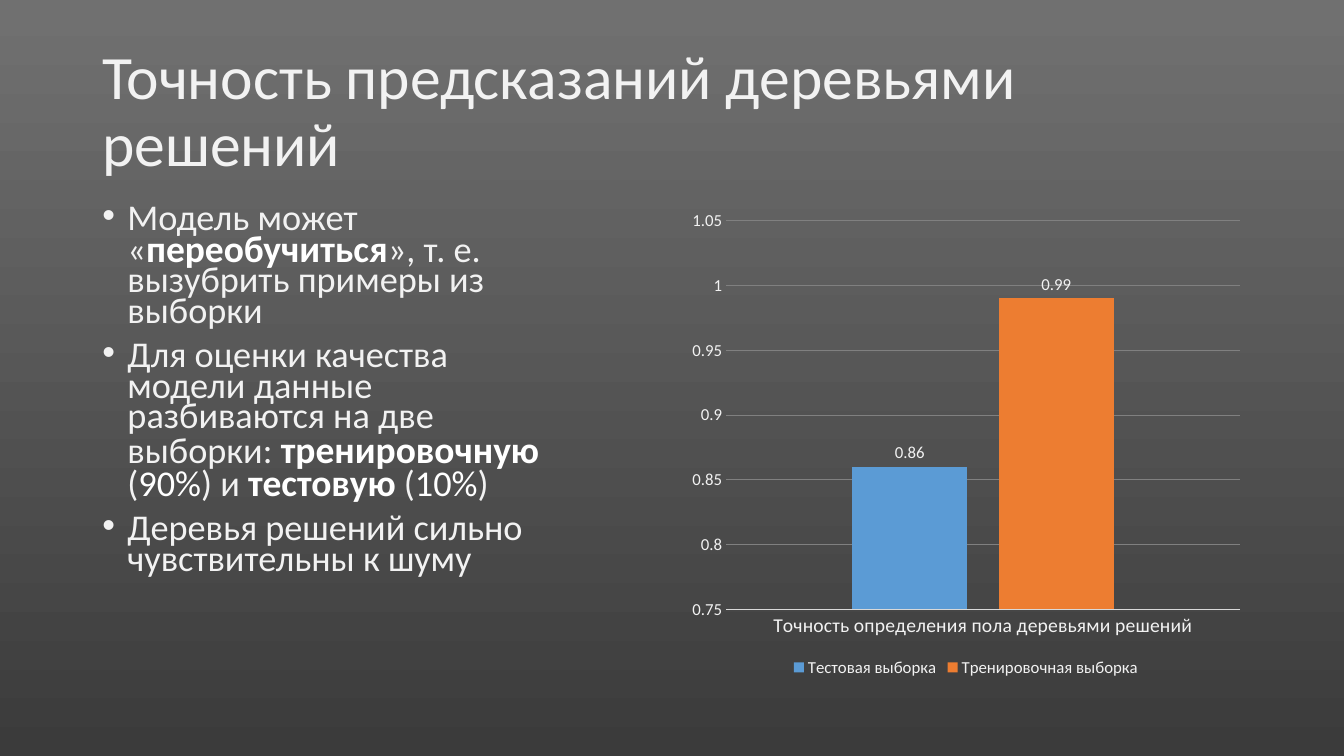
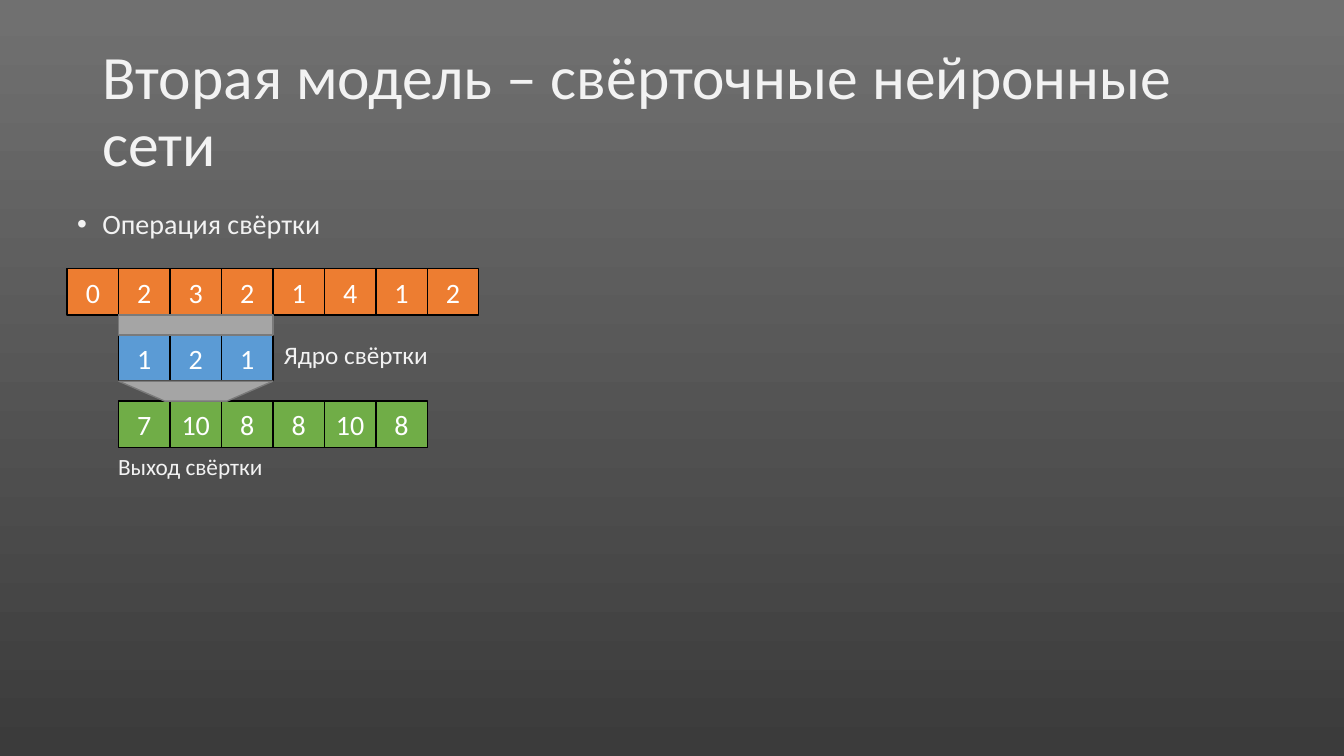
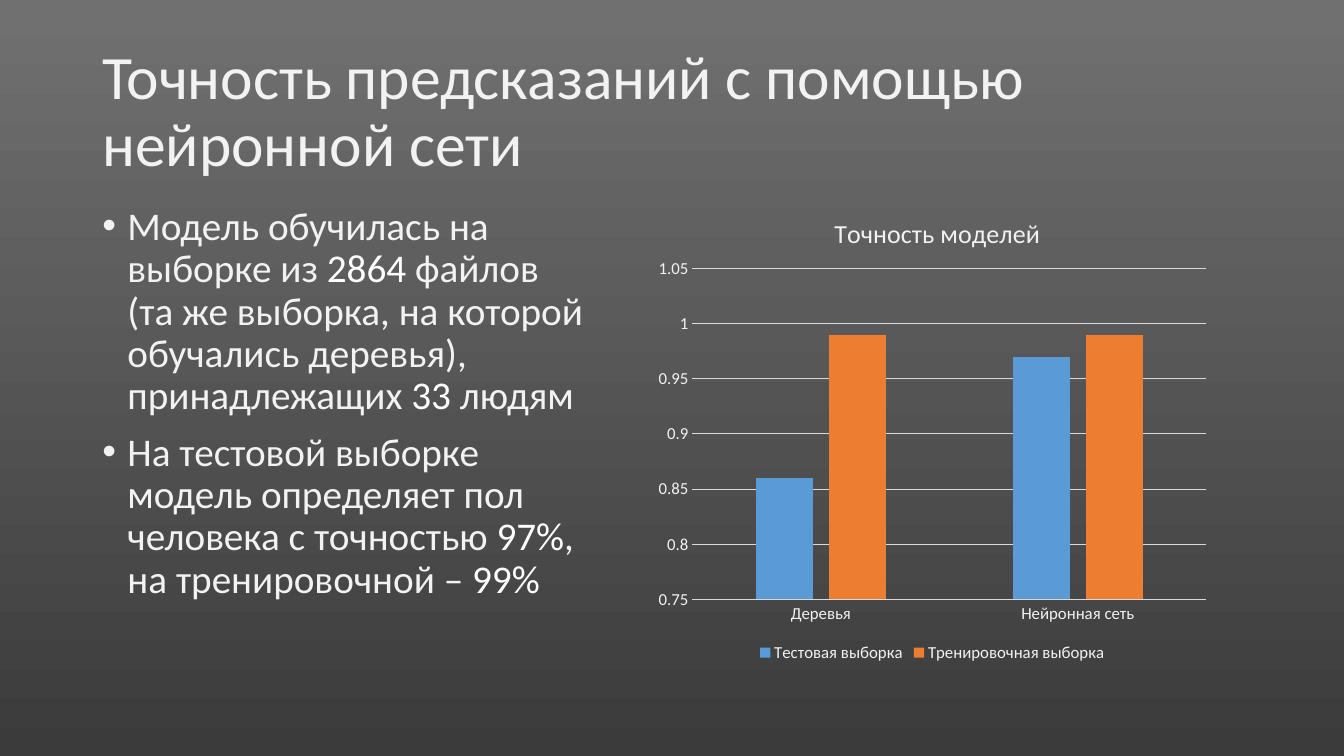
import dataclasses

import lxml.etree
import pptx
import pptx.chart.data
import pptx.dml.color
import pptx.enum.chart
import pptx.enum.shapes
import pptx.enum.text
import pptx.oxml.ns
import pptx.util

PX = 9525  # EMU per px, 96 px to the inch


@dataclasses.dataclass(frozen=True)
class Theme:
    font: str = "Calibri"
    # Colours
    backdrop_top: str = "707070"
    backdrop_bottom: str = "3B3B3B"
    text: str = "F2F2F2"
    bright: str = "FFFFFF"
    blue: str = "5B9BD5"
    orange: str = "ED7D31"
    green: str = "70AD47"
    grey: str = "A5A5A5"
    grey_edge: str = "7A7A7A"
    cell_edge: str = "000000"
    axis: str = "D9D9D9"
    soft_grid: str = "808080"
    # Type sizes in points
    title: float = 44
    body: float = 28
    tight_body: float = 25.9
    tight_bold: float = 26.8
    wide_space: float = 30.5
    diagram: float = 20
    kernel_label: float = 18
    output_label: float = 16.6
    chart_title: float = 18.6
    chart_category: float = 14
    chart_text: float = 12


THEME = Theme()
SAMPLES = ("Тестовая выборка", "Тренировочная выборка")


# ---- Basics ----
def px(*lengths):
    return [pptx.util.Emu(length * PX) for length in lengths]


def rgb(colour):
    return pptx.dml.color.RGBColor.from_string(colour)


def style_font(font, size, colour=THEME.text, bold=False):
    font.name = THEME.font
    font.size = pptx.util.Pt(size)
    font.bold = bold
    font.color.rgb = rgb(colour)


def style_line(line, colour, width):
    line.color.rgb = rgb(colour)
    line.width = pptx.util.Pt(width)


def paint_backdrop(master):
    fill = master.background.fill
    fill.gradient()
    fill.gradient_angle = 270
    stops = ((0.01, THEME.backdrop_top), (1, THEME.backdrop_bottom))
    for stop, (position, colour) in zip(fill.gradient_stops, stops):
        stop.position = position
        stop.color.rgb = rgb(colour)


# ---- Text ----
def plain(text, size=THEME.body):
    return text, size, THEME.text, False


def bright(text, size=THEME.body):
    return text, size, THEME.bright, False


def strong(text):
    return text, THEME.tight_bold, THEME.bright, True


def add_bullet(paragraph):
    properties = paragraph._p.get_or_add_pPr()
    properties.set("marL", str(24 * PX))
    properties.set("indent", str(-24 * PX))
    bullet_font = lxml.etree.SubElement(properties, pptx.oxml.ns.qn("a:buFont"))
    bullet_font.set("typeface", "Arial")
    bullet = lxml.etree.SubElement(properties, pptx.oxml.ns.qn("a:buChar"))
    bullet.set("char", "•")


def add_text(shapes, box, paragraphs, spacing=0.9, before=10, bullets=False):
    frame = shapes.add_textbox(*px(*box)).text_frame
    frame.word_wrap = True
    for index, pieces in enumerate(paragraphs):
        paragraph = frame.add_paragraph() if index else frame.paragraphs[0]
        paragraph.line_spacing = spacing
        paragraph.space_before = pptx.util.Pt(before)
        if bullets:
            add_bullet(paragraph)
        for text, size, colour, bold in pieces:
            run = paragraph.add_run()
            run.text = text
            style_font(run.font, size, colour, bold)
    return frame


def add_titled_slide(deck, title):
    slide = deck.slides.add_slide(deck.slide_layouts[6])
    frame = add_text(slide.shapes, (88, 38, 1104, 139),
                     [[plain(title, THEME.title)]], before=0)
    frame.vertical_anchor = pptx.enum.text.MSO_ANCHOR.MIDDLE
    return slide


# ---- Charts ----
def set_layout(parent, index, target=None, **fractions):
    """Place a chart part by fractions of the chart's size."""
    qn = pptx.oxml.ns.qn
    for old in parent.findall(qn("c:layout")):
        parent.remove(old)
    layout = lxml.etree.Element(qn("c:layout"))
    manual = lxml.etree.SubElement(layout, qn("c:manualLayout"))
    settings = {"layoutTarget": target} if target else {}
    settings.update(xMode="edge", yMode="edge", **fractions)
    for tag, value in settings.items():
        lxml.etree.SubElement(manual, qn("c:" + tag)).set("val", str(value))
    parent.insert(index, layout)


def style_axes(chart, category_size, grid):
    categories, values = chart.category_axis, chart.value_axis
    for axis, size in ((categories, category_size), (values, THEME.chart_text)):
        axis.major_tick_mark = pptx.enum.chart.XL_TICK_MARK.NONE
        axis.minor_tick_mark = pptx.enum.chart.XL_TICK_MARK.NONE
        style_font(axis.tick_labels.font, size)
    style_line(categories.format.line, THEME.axis, 0.75)
    values.format.line.fill.background()
    values.minimum_scale, values.maximum_scale = 0.75, 1.05
    values.major_unit = 0.05
    values.has_major_gridlines = True
    style_line(values.major_gridlines.format.line, grid, 0.75)


def add_accuracy_chart(slide, box, categories, accuracies, plot_top, plot_height,
                       grid, category_size=THEME.chart_text, title=None, labels=False):
    data = pptx.chart.data.CategoryChartData()
    data.categories = categories
    for sample, values in zip(SAMPLES, accuracies):
        data.add_series(sample, values)
    chart = slide.shapes.add_chart(
        pptx.enum.chart.XL_CHART_TYPE.COLUMN_CLUSTERED, *px(*box), data).chart
    style_font(chart.font, 10)
    style_axes(chart, category_size, grid)

    # Columns
    columns = chart.plots[0]
    columns.vary_by_categories = False
    columns.gap_width, columns.overlap = 219, -27
    for series, colour in zip(columns.series, (THEME.blue, THEME.orange)):
        series.format.fill.solid()
        series.format.fill.fore_color.rgb = rgb(colour)
        if labels:
            series.data_labels.show_value = True
            series.data_labels.position = pptx.enum.chart.XL_LABEL_POSITION.OUTSIDE_END
            style_font(series.data_labels.font, THEME.chart_text)

    # Legend, title and plot area
    chart.has_legend = True
    chart.legend.position = pptx.enum.chart.XL_LEGEND_POSITION.BOTTOM
    chart.legend.include_in_layout = False
    style_font(chart.legend.font, THEME.chart_text)
    chart.has_title = title is not None
    if title:
        heading = chart.chart_title.text_frame.paragraphs[0]
        heading.text = title
        style_font(heading.runs[0].font, THEME.chart_title)
        set_layout(chart.chart_title.element, 1, x=0.32, y=0.05)
    plot_area = chart.element.find(".//" + pptx.oxml.ns.qn("c:plotArea"))
    set_layout(plot_area, 0, "inner", x=0.08, y=plot_top, w=0.9, h=plot_height)


# ---- Convolution diagram ----
CELL_WIDTH, CELL_HEIGHT, ROW_PITCH = 49, 44, 63
DIAGRAM_LEFT, DIAGRAM_TOP = 64, 256


def add_block(shapes, kind, box, fill, edge):
    block = shapes.add_shape(kind, *px(*box))
    block.shadow.inherit = False
    block.fill.solid()
    block.fill.fore_color.rgb = rgb(fill)
    style_line(block.line, edge, 1)
    return block


def add_cells(shapes, row, first_column, numbers, colour):
    top = DIAGRAM_TOP + row * ROW_PITCH
    for column, number in enumerate(numbers, first_column):
        box = (DIAGRAM_LEFT + column * CELL_WIDTH, top, CELL_WIDTH, CELL_HEIGHT)
        cell = add_block(shapes, pptx.enum.shapes.MSO_SHAPE.RECTANGLE, box,
                         colour, THEME.cell_edge)
        cell.text_frame.text = str(number)
        cell.text_frame.vertical_anchor = pptx.enum.text.MSO_ANCHOR.MIDDLE
        paragraph = cell.text_frame.paragraphs[0]
        paragraph.alignment = pptx.enum.text.PP_ALIGN.CENTER
        style_font(paragraph.runs[0].font, THEME.diagram, THEME.bright)


def add_funnel(shapes, row, narrowing):
    """Fill the gap below a row, over the three cells of the kernel."""
    box = (DIAGRAM_LEFT + CELL_WIDTH, DIAGRAM_TOP + row * ROW_PITCH + CELL_HEIGHT,
           3 * CELL_WIDTH, ROW_PITCH - CELL_HEIGHT)
    funnel = add_block(shapes, pptx.enum.shapes.MSO_SHAPE.TRAPEZOID, box,
                       THEME.grey, THEME.grey_edge)
    funnel.rotation = 180
    funnel.adjustments[0] = narrowing


def add_convolution(slide):
    shapes = slide.shapes.add_group_shape().shapes
    add_cells(shapes, 0, 0, (0, 2, 3, 2, 1, 4, 1, 2), THEME.orange)
    add_cells(shapes, 1, 1, (1, 2, 1), THEME.blue)
    add_cells(shapes, 2, 1, (7, 10, 8, 8, 10, 8), THEME.green)
    add_funnel(shapes, 1, 2.3)
    add_funnel(shapes, 0, 0)
    add_text(shapes, (261, 324, 159, 35),
             [[plain("Ядро свёртки", THEME.kernel_label)]], spacing=0.8)
    add_text(shapes, (103, 429, 166, 36),
             [[plain("Выход свёртки", THEME.output_label)]])


# ---- Slides ----
def build_tree_accuracy(deck):
    slide = add_titled_slide(deck, "Точность предсказаний деревьями решений")
    size = THEME.tight_body
    add_text(slide.shapes, (88, 192, 462, 395), [
        [plain("Модель может «", size), strong("переобучиться"),
         plain("», т. е. вызубрить примеры из выборки", size)],
        [plain("Для оценки качества модели данные разбиваются на две выборки: ", size),
         strong("тренировочную"), bright(" ", THEME.wide_space),
         plain("(", size), bright("90%", size), plain(") и ", size),
         strong("тестовую"), bright(" ", size),
         plain("(", size), bright("10%", size), plain(")", size)],
        [plain("Деревья решений сильно чувствительны к шуму", size)],
    ], spacing=0.7, bullets=True)
    add_accuracy_chart(
        slide, (648, 192, 544, 457), ["Точность определения пола деревьями решений"],
        [(0.86,), (0.99,)], 0.04, 0.81, THEME.soft_grid,
        category_size=THEME.chart_category, labels=True)


def build_convolution(deck):
    slide = add_titled_slide(deck, "Вторая модель – свёрточные нейронные сети")
    add_text(slide.shapes, (64, 196, 391, 68),
             [[plain("Операция свёртки", THEME.diagram)]], bullets=True)
    add_convolution(slide)


def build_network_accuracy(deck):
    slide = add_titled_slide(deck, "Точность предсказаний с помощью нейронной сети")
    add_text(slide.shapes, (88, 192, 479, 457), [
        [plain("Модель обучилась на выборке из "), bright("2864 "),
         plain("файлов (та же выборка, на которой обучались деревья), принадлежащих "),
         bright("33"), plain(" людям")],
        [plain("На тестовой выборке модель определяет пол человека с точностью "),
         bright("97%"), plain(", на тренировочной – "), bright("99%")],
    ], bullets=True)
    add_accuracy_chart(
        slide, (616, 178, 544, 457), ["Деревья", "Нейронная сеть"],
        [(0.86, 0.97), (0.99, 0.99)], 0.17, 0.69, THEME.axis,
        title="Точность моделей")


def main():
    deck = pptx.Presentation()
    deck.slide_width, deck.slide_height = px(1280, 720)
    paint_backdrop(deck.slide_master)
    build_tree_accuracy(deck)
    build_convolution(deck)
    build_network_accuracy(deck)
    deck.save("out.pptx")


if __name__ == "__main__":
    main()
